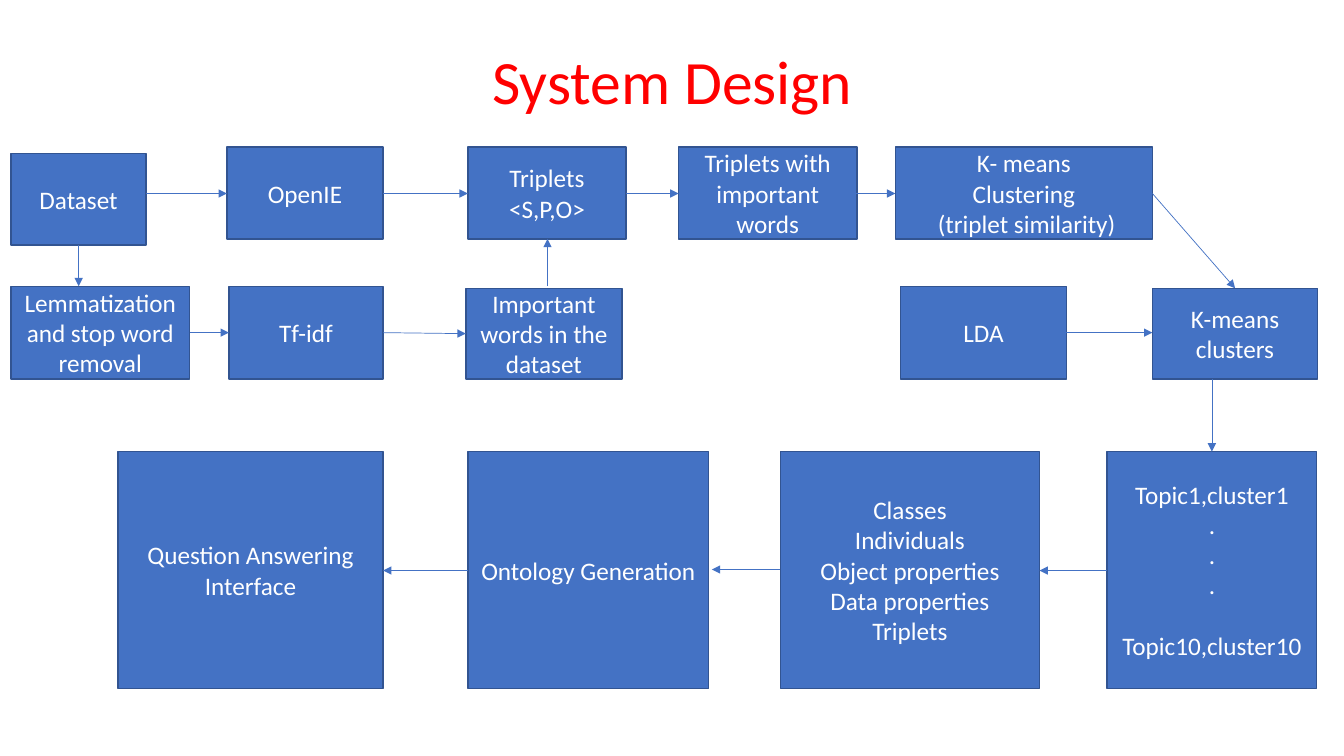
import pptx
import pptx.dml.color
import pptx.enum.shapes
import pptx.enum.text
import pptx.oxml.ns
import pptx.util
from lxml import etree

Inches = pptx.util.Inches
Pt = pptx.util.Pt
RGBColor = pptx.dml.color.RGBColor

RED = RGBColor(0xFF, 0x00, 0x00)
WHITE = RGBColor(0xFF, 0xFF, 0xFF)
BLUE = RGBColor(0x44, 0x72, 0xC4)
DARK_BLUE = RGBColor(0x32, 0x54, 0x91)

# Rows of the flow: top and height of their boxes
EXTRACTION = (1.46, 0.91)
WORDS = (2.84, 0.92)
CLUSTERS = (2.86, 0.9)
ONTOLOGY = (4.48, 2.35)

# Left, width, row, lines of text
STEPS = [
    (0.11, 1.34, (1.52, 0.91), ["Dataset"]),
    (2.25, 1.55, EXTRACTION, ["OpenIE"]),
    (4.64, 1.57, EXTRACTION, ["Triplets", "<S,P,O>"]),
    (6.73, 1.77, EXTRACTION, ["Triplets with important words"]),
    (8.88, 2.55, EXTRACTION, ["K- means", "Clustering", " (triplet similarity)"]),
    (0.11, 1.77, WORDS, ["Lemmatization and stop word removal"]),
    (2.27, 1.53, WORDS, ["Tf-idf"]),
    (4.62, 1.55, CLUSTERS, ["Important words in the dataset"]),
    (8.93, 1.65, WORDS, ["LDA"]),
    (11.43, 1.64, CLUSTERS, ["K-means clusters"]),
    (7.74, 2.57, ONTOLOGY, ["Classes", "Individuals", "Object properties",
                            "Data properties", "Triplets"]),
    (4.64, 2.39, ONTOLOGY, ["Ontology Generation"]),
    (1.17, 2.63, ONTOLOGY, ["Question Answering", "Interface"]),
]

# Start x, start y, end x, end y
ARROWS = [
    (1.45, 1.92, 2.25, 1.92),
    (3.8, 1.92, 4.64, 1.92),
    (6.21, 1.92, 6.73, 1.92),
    (8.49, 1.92, 8.88, 1.92),
    (11.43, 1.92, 12.25, 2.86),
    (0.78, 2.43, 0.78, 2.84),
    (1.88, 3.3, 2.27, 3.3),
    (3.8, 3.3, 4.62, 3.31),
    (5.43, 2.84, 5.43, 2.37),
    (10.57, 3.3, 11.43, 3.3),
    (12.02, 3.76, 12.02, 4.48),
    (10.98, 5.66, 10.31, 5.66),
    (7.74, 5.65, 7.06, 5.65),
    (4.64, 5.66, 3.8, 5.66),
]


class FlowSlide:
    font = "Calibri"
    title_size = Pt(44)
    step_size = Pt(18)

    def __init__(self, presentation):
        self.slide = presentation.slides.add_slide(presentation.slide_layouts[6])

    def add_lines(self, frame, lines, size, color):
        """Fill a text frame with centred lines and return its paragraphs."""
        frame.word_wrap = True
        frame.vertical_anchor = pptx.enum.text.MSO_ANCHOR.MIDDLE
        for number, line in enumerate(lines):
            paragraph = frame.add_paragraph() if number else frame.paragraphs[0]
            paragraph.alignment = pptx.enum.text.PP_ALIGN.CENTER
            run = paragraph.add_run()
            run.text = line
            run.font.name = self.font
            run.font.size = size
            run.font.color.rgb = color
        return frame.paragraphs

    def title(self, text):
        heading = self.slide.shapes.add_textbox(
            Inches(0.92), Inches(0.4), Inches(11.5), Inches(0.88))
        paragraphs = self.add_lines(heading.text_frame, [text], self.title_size, RED)
        paragraphs[0].line_spacing = 0.9

    def step(self, left, width, row, lines):
        top, height = row
        step = self.slide.shapes.add_shape(
            pptx.enum.shapes.MSO_SHAPE.RECTANGLE,
            Inches(left), Inches(top), Inches(width), Inches(height))
        step.shadow.inherit = False
        step.fill.solid()
        step.fill.fore_color.rgb = BLUE
        step.line.color.rgb = DARK_BLUE
        step.line.width = Pt(1)
        return self.add_lines(step.text_frame, lines, self.step_size, WHITE)

    def arrow(self, *ends):
        arrow = self.slide.shapes.add_connector(
            pptx.enum.shapes.MSO_CONNECTOR.STRAIGHT, *map(Inches, ends))
        arrow.line.color.rgb = BLUE
        arrow.line.width = Pt(0.5)
        qn = pptx.oxml.ns.qn
        properties = arrow.element.spPr
        etree.SubElement(properties.find(qn("a:ln")), qn("a:tailEnd"), type="triangle")
        etree.SubElement(properties, qn("a:effectLst"))


def main():
    presentation = pptx.Presentation()
    presentation.slide_width = Inches(13.33)
    presentation.slide_height = Inches(7.5)

    design = FlowSlide(presentation)
    design.title("System Design")
    for step in STEPS:
        design.step(*step)
    topics = design.step(10.98, 2.08, ONTOLOGY,
                         ["Topic1,cluster1", ".", ".", ".", "Topic10,cluster10"])
    topics[-1].space_before = Pt(22)
    for ends in ARROWS:
        design.arrow(*ends)

    presentation.save("out.pptx")


if __name__ == "__main__":
    main()
